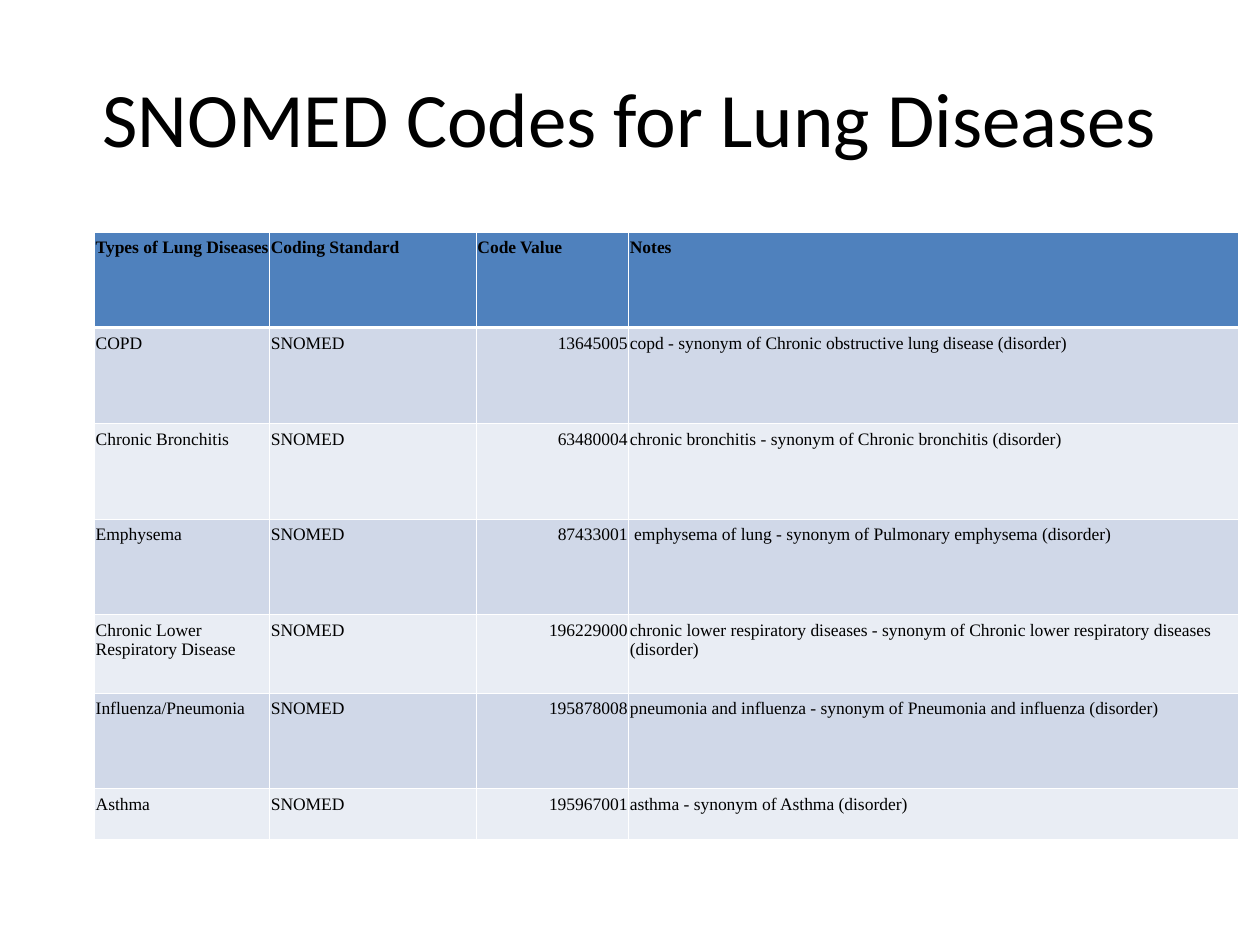
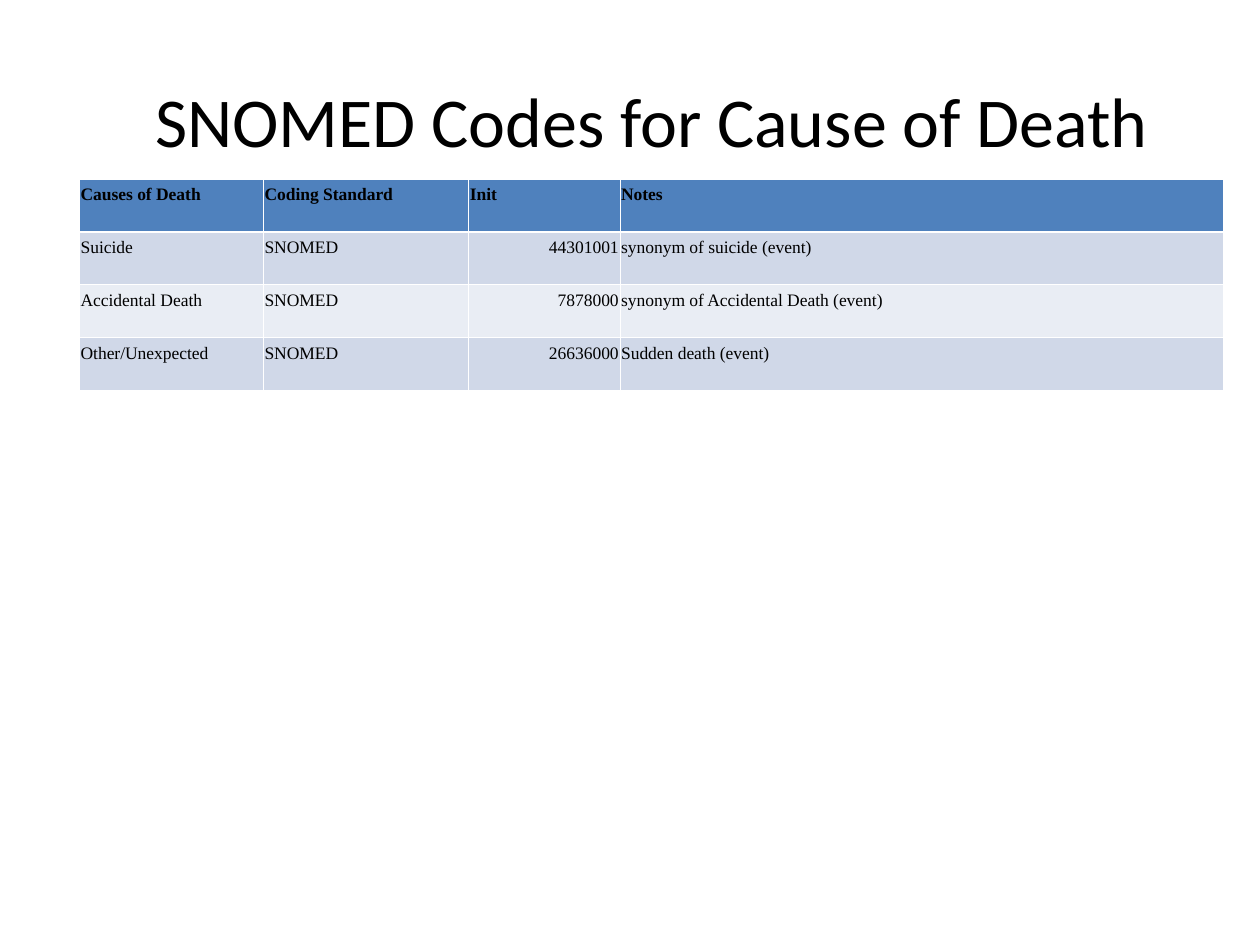
"""Build two slides that list SNOMED codes in banded tables."""
import pptx
import pptx.dml.color
import pptx.enum.text
import pptx.oxml
import pptx.oxml.ns
import pptx.util
from pptx.util import Inches

COLOURS = {"text": "000000", "header": "4F81BD", "odd": "D0D8E8", "even": "E9EDF4", "border": "FFFFFF"}
TITLE_FONT = "Calibri"
TABLE_FONT = "Times New Roman"
TABLE_SIZE = 10
THIN, THICK = 0.45, 1.47
SYSTEM = "SNOMED"
CODE_COLUMN = 2
TITLE_ONLY = 5

SLIDES = [
    {
        "title": "SNOMED Codes for Lung Diseases",
        "title_size": 44,
        "title_box": (0.5, 0.3, 9, 1.25),
        "table_corner": (0.75, 1.84),
        "columns": (1.39, 1.64, 1.21, 4.84),
        "rows": (0.76, 0.76, 0.76, 0.76, 0.62, 0.76, 0.4),
        "header": ("Types of Lung Diseases", "Coding Standard", "Code Value", "Notes"),
        "entries": [
            ("COPD", "13645005", "copd - synonym of Chronic obstructive lung disease (disorder)"),
            ("Chronic Bronchitis", "63480004", "chronic bronchitis - synonym of Chronic bronchitis (disorder)"),
            ("Emphysema", "87433001", " emphysema of lung - synonym of Pulmonary emphysema (disorder)"),
            ("Chronic Lower Respiratory Disease", "196229000",
             "chronic lower respiratory diseases - synonym of Chronic lower respiratory diseases (disorder)"),
            ("Influenza/Pneumonia", "195878008",
             "pneumonia and influenza - synonym of Pneumonia and influenza (disorder)"),
            ("Asthma", "195967001", "asthma - synonym of Asthma (disorder)"),
        ],
    },
    {
        "title": "SNOMED Codes for Cause of Death",
        "title_size": 40,
        "title_box": (0.96, 0.72, 8.42, 0.45),
        "table_corner": (0.63, 1.42),
        "columns": (1.46, 1.63, 1.2, 4.79),
        "rows": (0.42,) * 4,
        "header": ("Causes of Death", "Coding Standard", "Init", "Notes"),
        "entries": [
            ("Suicide", "44301001", "synonym of suicide (event)"),
            ("Accidental Death", "7878000", "synonym of Accidental Death (event)"),
            ("Other/Unexpected", "26636000", "Sudden death (event)"),
        ],
    },
]


def colour(name):
    return pptx.dml.color.RGBColor.from_string(COLOURS[name])


def style_font(font, name, size, bold=False):
    font.name = name
    font.size = pptx.util.Pt(size)
    font.bold = bold
    font.color.rgb = colour("text")


def add_title(page, content):
    title = page.shapes.title
    title.left, title.top, title.width, title.height = map(Inches, content["title_box"])
    frame = title.text_frame
    frame.text = content["title"]
    frame.word_wrap = True
    frame.auto_size = pptx.enum.text.MSO_AUTO_SIZE.NONE
    frame.vertical_anchor = pptx.enum.text.MSO_ANCHOR.MIDDLE
    para = frame.paragraphs[0]
    para.alignment = pptx.enum.text.PP_ALIGN.CENTER
    style_font(para.font, TITLE_FONT, content["title_size"])


def add_borders(cell, top, bottom):
    properties = cell._tc.get_or_add_tcPr()
    for side, width in (("L", THIN), ("R", THIN), ("T", top), ("B", bottom)):
        properties.append(pptx.oxml.parse_xml(
            f'<a:ln{side} {pptx.oxml.ns.nsdecls("a")} w="{pptx.util.Pt(width)}">'
            f'<a:solidFill><a:srgbClr val="{COLOURS["border"]}"/></a:solidFill></a:ln{side}>'))


def fill_cell(cell, text, row, column):
    is_header = row == 0
    add_borders(cell, THICK if row == 1 else THIN, THICK if is_header else THIN)
    cell.fill.solid()
    cell.fill.fore_color.rgb = colour("header" if is_header else "odd" if row % 2 else "even")
    cell.margin_left = cell.margin_right = Inches(0.01)
    cell.margin_top = cell.margin_bottom = Inches(0.05)
    cell.text = text
    para = cell.text_frame.paragraphs[0]
    if column == CODE_COLUMN and not is_header:
        para.alignment = pptx.enum.text.PP_ALIGN.RIGHT
    style_font(para.font, TABLE_FONT, TABLE_SIZE, is_header)


def add_code_table(page, content):
    widths, heights = content["columns"], content["rows"]
    left, top = content["table_corner"]
    table = page.shapes.add_table(
        len(heights), len(widths), Inches(left), Inches(top),
        Inches(sum(widths)), Inches(sum(heights))).table
    for column, width in zip(table.columns, widths):
        column.width = Inches(width)
    for line, height in zip(table.rows, heights):
        line.height = Inches(height)
    lines = [content["header"]] + [(name, SYSTEM, code, note) for name, code, note in content["entries"]]
    for row, texts in enumerate(lines):
        for column, text in enumerate(texts):
            fill_cell(table.cell(row, column), text, row, column)


def main():
    deck = pptx.Presentation()
    deck.slide_width, deck.slide_height = Inches(10), Inches(7.5)
    for content in SLIDES:
        page = deck.slides.add_slide(deck.slide_layouts[TITLE_ONLY])
        add_title(page, content)
        add_code_table(page, content)
    deck.save("out.pptx")


if __name__ == "__main__":
    main()
